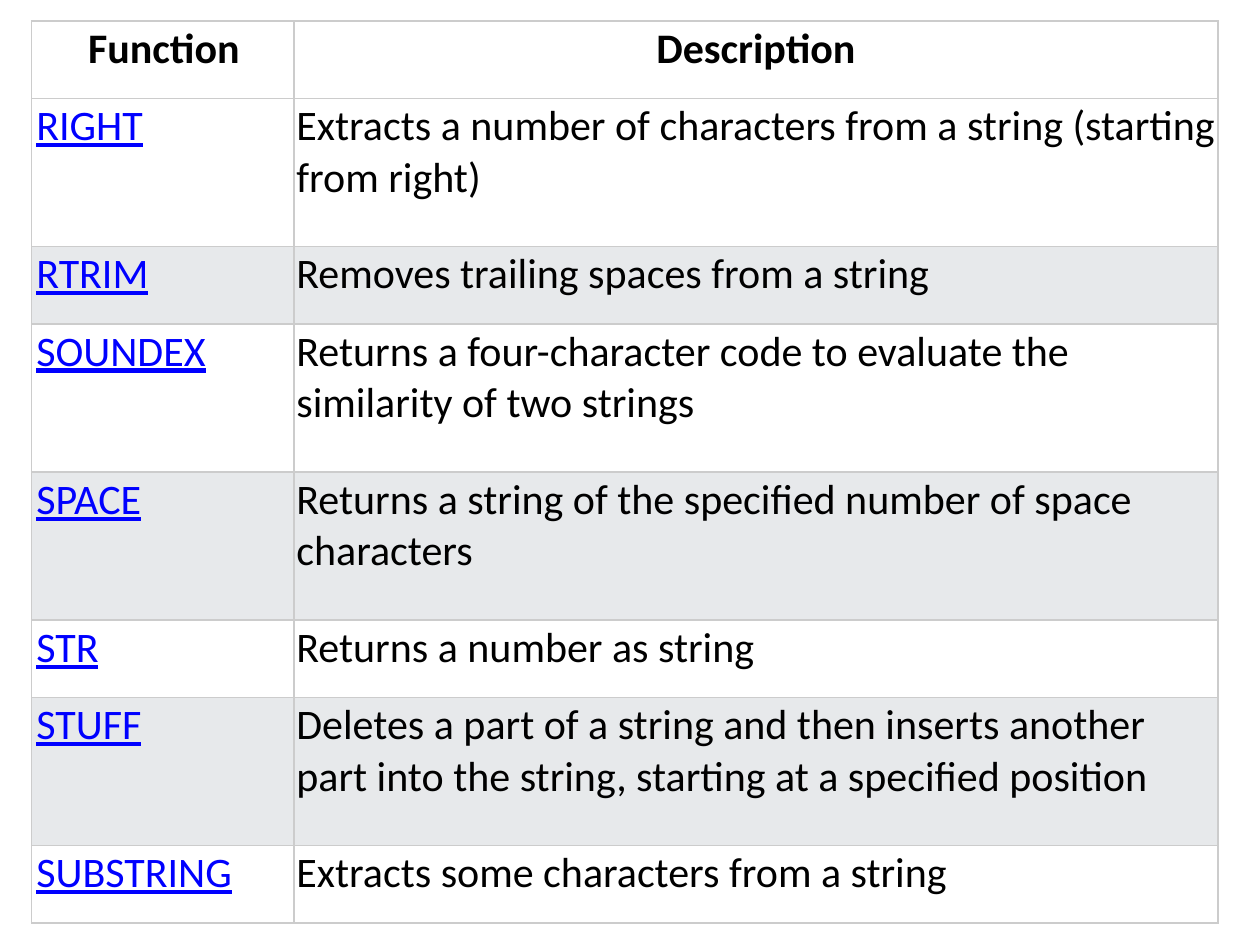
from lxml.etree import SubElement
from pptx import Presentation
from pptx.dml.color import RGBColor
from pptx.enum.text import PP_ALIGN
from pptx.oxml.ns import qn
from pptx.util import Pt

BLACK = RGBColor(0x00, 0x00, 0x00)
WHITE = RGBColor(0xFF, 0xFF, 0xFF)
BLUE = RGBColor(0x00, 0x00, 0xFF)
BAND = RGBColor(0xE7, 0xE9, 0xEB)
RULE = RGBColor(0xCC, 0xCC, 0xCC)

SHORT, TALL = 44.3, 84.6
COLS = (150, 528)
ROWS = (
    (SHORT, "Function", "Description"),
    (TALL, "RIGHT", "Extracts a number of characters from a string (starting from right)"),
    (SHORT, "RTRIM", "Removes trailing spaces from a string"),
    (TALL, "SOUNDEX", "Returns a four-character code to evaluate the similarity of two strings"),
    (TALL, "SPACE", "Returns a string of the specified number of space characters"),
    (SHORT, "STR", "Returns a number as string"),
    (TALL, "STUFF", "Deletes a part of a string and then inserts another part "
                    "into the string, starting at a specified position"),
    (SHORT, "SUBSTRING", "Extracts some characters from a string"),
)


def add_rules(cell):
    """Draw a thin line on all four sides; must run before the cell is filled."""
    props = cell._tc.get_or_add_tcPr()
    for side in ("lnL", "lnR", "lnT", "lnB"):
        line = SubElement(props, qn(f"a:{side}"), w=str(Pt(0.75)))
        fill = SubElement(line, qn("a:solidFill"))
        SubElement(fill, qn("a:srgbClr"), val=str(RULE))


def fill_cell(cell, text, row, col):
    head = row == 0
    name = col == 0 and not head
    add_rules(cell)
    cell.fill.solid()
    cell.fill.fore_color.rgb = BAND if row and row % 2 == 0 else WHITE
    cell.margin_left = Pt(2.8 if col == 0 else 1.4)
    cell.margin_right = cell.margin_top = cell.margin_bottom = Pt(1.4)
    cell.text_frame.text = text
    para = cell.text_frame.paragraphs[0]
    para.alignment = PP_ALIGN.CENTER if head else PP_ALIGN.LEFT
    font = para.runs[0].font
    font.name = "Calibri"
    font.size = Pt(24)
    font.bold = head
    font.underline = name
    font.color.rgb = BLUE if name else BLACK


def add_grid(slide):
    high = sum(row[0] for row in ROWS)
    frame = slide.shapes.add_table(len(ROWS), len(COLS), Pt(18), Pt(12),
                                   Pt(sum(COLS)), Pt(high))
    table = frame.table
    for col, width in enumerate(COLS):
        table.columns[col].width = Pt(width)
    for row, (size, *texts) in enumerate(ROWS):
        table.rows[row].height = Pt(size)
        for col, text in enumerate(texts):
            fill_cell(table.cell(row, col), text, row, col)


def main():
    deck = Presentation()
    deck.slide_width, deck.slide_height = Pt(720), Pt(540)
    slide = deck.slides.add_slide(deck.slide_layouts[6])
    add_grid(slide)
    deck.save("out.pptx")


if __name__ == "__main__":
    main()
